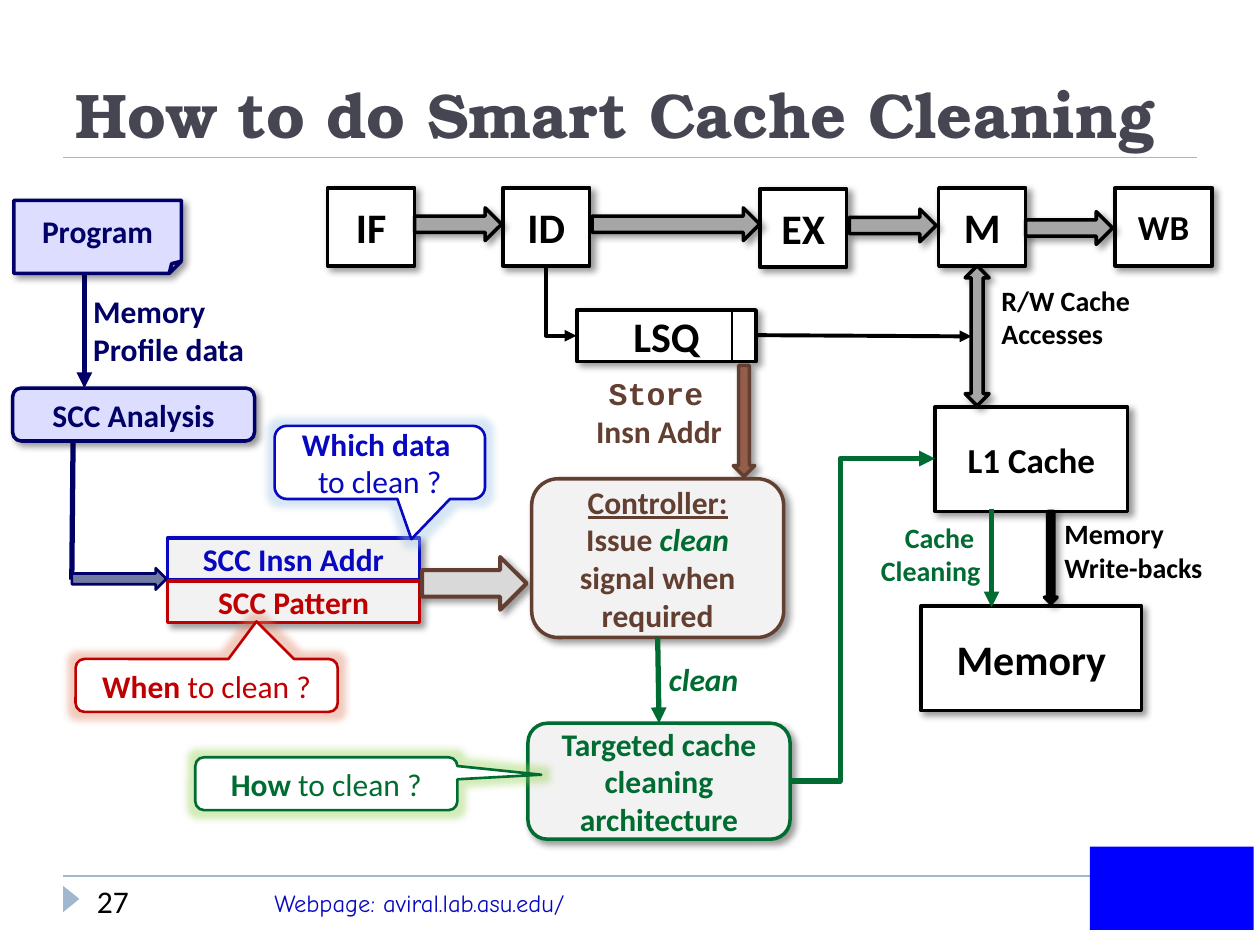
"""Build the smart cache cleaning pipeline slide."""
from dataclasses import dataclass

from lxml.etree import SubElement
from pptx import Presentation
from pptx.dml.color import RGBColor
from pptx.enum.shapes import MSO_CONNECTOR as CONN, MSO_SHAPE as SH
from pptx.enum.text import MSO_ANCHOR as ANCHOR, MSO_AUTO_SIZE as AUTO, PP_ALIGN as AL
from pptx.oxml.ns import qn
from pptx.util import Pt


@dataclass(frozen=True)
class Theme:
    black: str = "000000"
    white: str = "FFFFFF"
    blue: str = "0808C0"
    red: str = "C00000"
    green: str = "006C31"
    brown: str = "633F32"
    navy: str = "000066"
    rule: str = "9FB8CD"
    title: str = "464653"
    pale: str = "F2F2F2"
    lilac: str = "DDDDFF"
    gray: str = "A6A6A6"
    light: str = "D9D9D9"
    rust: str = "955E4B"
    slate: str = "727CA3"
    logo: str = "0000FF"
    blue_glow: str = "9DC3E6"
    red_glow: str = "E08060"
    green_glow: str = "92D050"
    font: str = "Calibri"
    small: int = 16
    body: int = 18
    mid: int = 20
    big: int = 24


T = Theme()
PX = 9144
B, PLAIN = {"b": True}, {"b": False}

prs = Presentation()
prs.slide_width, prs.slide_height = 1000 * PX, 750 * PX
s = prs.slides.add_slide(prs.slide_layouts[5])


def box(kind, at, paras=(), color=T.black, size=T.body, fill=T.white, width=2,
        align=AL.CENTER, adj=(), shadow=True, glow=None, wrap=True):
    at = [v * PX for v in at]
    if kind is None:
        sp = s.shapes.add_textbox(*at)
    else:
        sp = s.shapes.add_shape(kind, *at)
        sp.shadow.inherit = False
        sp.fill.solid()
        sp.fill.fore_color.rgb = RGBColor.from_string(fill)
        if width:
            sp.line.color.rgb = RGBColor.from_string(color)
            sp.line.width = Pt(width)
        else:
            sp.line.fill.background()
        for i, value in enumerate(adj):
            sp.adjustments[i] = value
        effects = sp._element.spPr.find(qn("a:effectLst"))
        effect = None
        if glow:
            effect = SubElement(effects, qn("a:glow"), rad=str(Pt(8)))
        elif shadow:
            effect = SubElement(effects, qn("a:outerShdw"), blurRad=str(Pt(4)),
                                dist=str(Pt(3)), dir="2700000", rotWithShape="0")
        if effect is not None:
            clr = SubElement(effect, qn("a:srgbClr"), val=glow or T.black)
            SubElement(clr, qn("a:alpha"), val="40000")
    tf = sp.text_frame
    tf.word_wrap = wrap
    tf.vertical_anchor = ANCHOR.MIDDLE if kind is not None else ANCHOR.TOP
    for i, runs in enumerate(paras):
        p = tf.add_paragraph() if i else tf.paragraphs[0]
        p.alignment = align
        for text, style in runs:
            r = p.add_run()
            r.text = text
            r.font.name = style.get("font", T.font)
            r.font.size = Pt(size)
            r.font.bold = style.get("b", True)
            r.font.italic = style.get("i", False)
            r.font.underline = style.get("u", False)
            r.font.color.rgb = RGBColor.from_string(style.get("color", color))
    return sp


def link(start, end, color, width, head=True, kind=CONN.STRAIGHT):
    c = s.shapes.add_connector(kind, *[v * PX for v in (*start, *end)])
    c.line.color.rgb = RGBColor.from_string(color)
    c.line.width = Pt(width)
    if head:
        SubElement(c.line._get_or_add_ln(), qn("a:tailEnd"), type="triangle")
    SubElement(c._element.spPr, qn("a:effectLst"))
    return c


link((50, 695), (867, 695), T.rule, 1, head=False)
link((50, 125), (950, 125), T.rule, 1, head=False)
marker = box(SH.ISOSCELES_TRIANGLE, (46, 707, 21, 13), fill=T.rule, width=0, shadow=False)
marker.rotation = 90
box(None, (208, 700, 375, 34), [[("Webpage: aviral.lab.asu.edu/", {"b": False, "font": "Comic Neue"})]],
    T.blue, 14, align=AL.LEFT)
box(None, (67, 695, 141, 40), [[("27", PLAIN)]], align=AL.LEFT)
box(SH.RECTANGLE, (865, 672, 130, 66), fill=T.logo, width=0, shadow=False)

title = s.shapes.title
title.left, title.top, title.width, title.height = [v * PX for v in (50, 17, 900, 108)]
tf = title.text_frame
tf.vertical_anchor = ANCHOR.BOTTOM
tf.auto_size = AUTO.NONE
p = tf.paragraphs[0]
p.alignment = AL.LEFT
r = p.add_run()
r.text = "How to do Smart Cache Cleaning"
r.font.name, r.font.size, r.font.bold = "TeX Gyre Bonum", Pt(36), True
r.font.color.rgb = RGBColor.from_string(T.title)

for text, at, size in [
    ("IF", (260, 149, 69, 62), T.big),
    ("ID", (399, 149, 69, 62), T.big),
    ("EX", (603, 150, 69, 62), T.big),
    ("M", (745, 149, 69, 62), T.big),
    ("WB", (885, 149, 77, 62), T.mid),
    ("L1 Cache", (742, 323, 153, 83), T.mid),
    ("Memory", (731, 481, 175, 83), T.big),
    ("LSQ", (458, 246, 142, 41), T.big),
]:
    box(SH.RECTANGLE, at, [[(text, B)]], size=size)

for x, y, w in [(329, 165, 69), (470, 165, 133), (674, 166, 69), (814, 168, 69)]:
    box(SH.RIGHT_ARROW, (x, y, w, 26), fill=T.gray)
box(SH.UP_DOWN_ARROW, (766, 211, 19, 111), fill=T.gray)
box(SH.DOWN_ARROW, (829, 406, 10, 73), fill=T.black)

link((581, 246), (581, 287), T.black, 1.5, head=False)
link((599, 266), (771, 267), T.black, 2.25)
issue = link((473, 227), (418, 251), T.black, 2.25, kind=CONN.ELBOW)
issue._element.spPr.find(qn("a:xfrm")).set("rot", "16200000")
issue._element.spPr.find(qn("a:prstGeom")).set("prst", "bentConnector2")

for text, y, color in [("SCC Insn Addr", 427, T.blue), ("SCC Pattern", 461, T.red)]:
    box(SH.RECTANGLE, (133, y, 200, 33), [[(text, B)]], color, fill=T.pale)

box(SH.DOWN_ARROW, (582, 290, 17, 88), color=T.brown, fill=T.rust)
box(SH.RIGHT_ARROW, (335, 442, 83, 42), color=T.brown, fill=T.light, width=2.25)
box(SH.ROUNDED_RECTANGLE, (422, 380, 200, 126),
    [[("Controller: ", {"u": True}), ("Issue ", B), ("clean ", {"i": True, "color": T.green}),
      ("signal when required", B)]], T.brown, fill=T.pale)
box(SH.ROUNDED_RECTANGLE, (419, 574, 208, 92),
    [[("Targeted cache cleaning architecture", B)]], T.green, fill=T.pale)

link((522, 506), (523, 574), T.green, 3)
link((787, 404), (787, 482), T.green, 3)
target = link((627, 620), (742, 364), T.green, 3, kind=CONN.ELBOW)
guides = target._element.spPr.find(qn("a:prstGeom")).find(qn("a:avLst"))
SubElement(guides, qn("a:gd"), name="adj1", fmla="val 34600")

for at, paras, color, adj, glow in [
    ((218, 338, 167, 58), [[("Which data ", B)], [("to clean ?", PLAIN)]],
     T.blue, (0.15, 1.05), T.blue_glow),
    ((60, 523, 208, 42), [[("When", B), (" to clean ?", PLAIN)]],
     T.red, (0.19, -1.21), T.red_glow),
    ((155, 601, 208, 42), [[("How", B), (" to clean ?", PLAIN)]],
     T.green, (0.82, -0.17), T.green_glow),
]:
    box(SH.ROUNDED_RECTANGULAR_CALLOUT, at, paras, color, width=1.5, adj=adj, glow=glow)

link((58, 350), (57, 460), T.navy, 3, head=False)
link((67, 217), (67, 308), T.navy, 3)
box(SH.FOLDED_CORNER, (11, 159, 133, 58), [[("Program", B)]], T.navy, fill=T.lilac)
box(SH.ROUNDED_RECTANGLE, (10, 308, 192, 42), [[("SCC Analysis", B)]], T.navy, fill=T.lilac)
box(SH.RIGHT_ARROW, (57, 451, 75, 17), color=T.navy, fill=T.slate, width=1.5, shadow=False)

for at, paras, color, size, align in [
    ((785, 220, 144, 64), [[("R/W Cache", B)], [("Accesses", B)]], T.black, T.small, AL.LEFT),
    ((835, 405, 147, 64), [[("Memory", B)], [("Write-backs", B)]], T.black, T.small, AL.LEFT),
    ((446, 292, 137, 71), [[("Store ", {"font": "Courier New"})], [("Insn Addr", B)]],
     T.brown, T.body, AL.RIGHT),
    ((521, 519, 85, 40), [[("clean", {"i": True})]], T.green, T.body, AL.LEFT),
    ((673, 408, 115, 64), [[("Cache ", B)], [("Cleaning", B)]], T.green, T.small, AL.RIGHT),
    ((64, 227, 158, 71), [[("Memory", B)], [("Profile data", B)]], T.navy, T.body, AL.LEFT),
]:
    box(None, at, paras, color, size, align=align, wrap=False)

prs.save("out.pptx")
